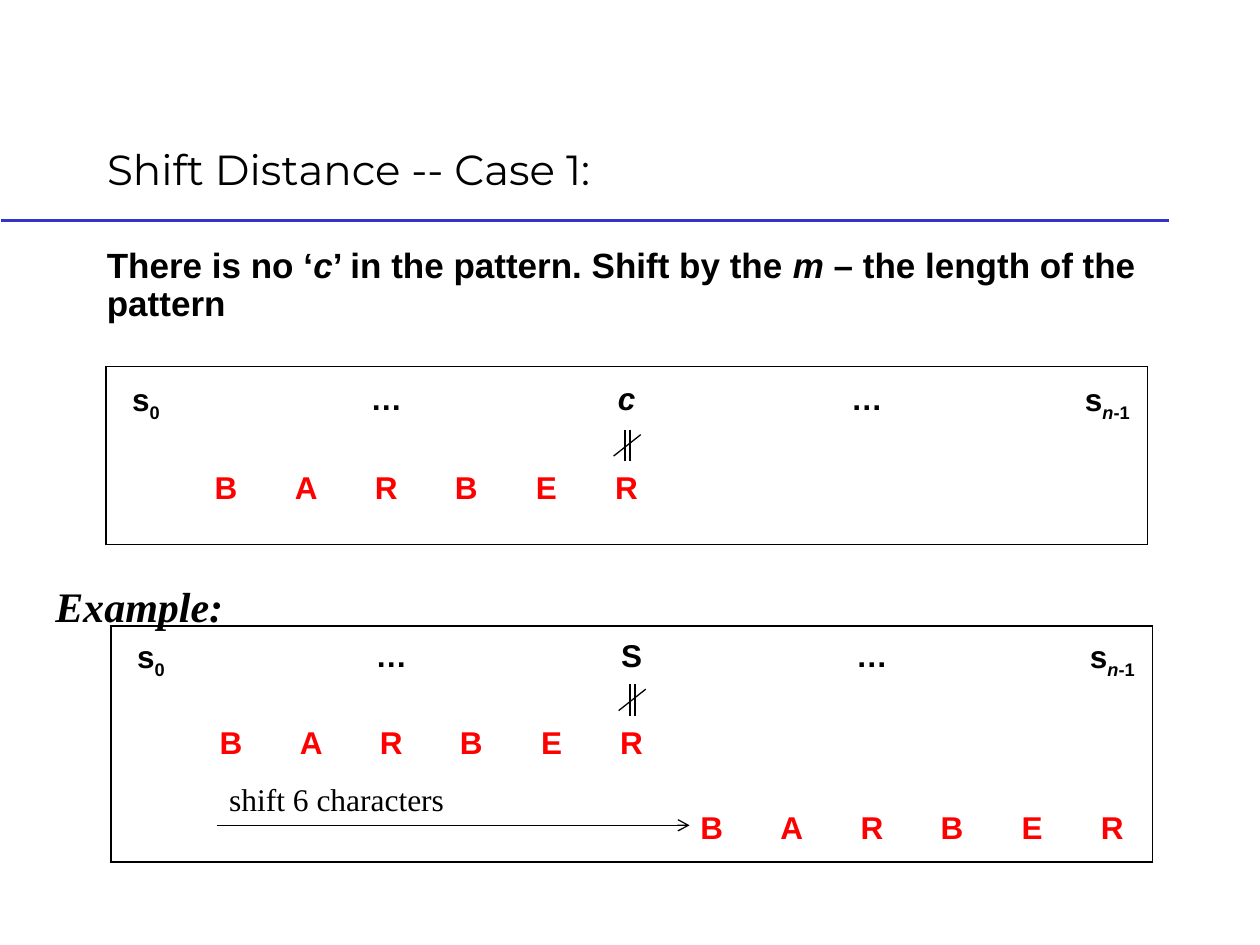
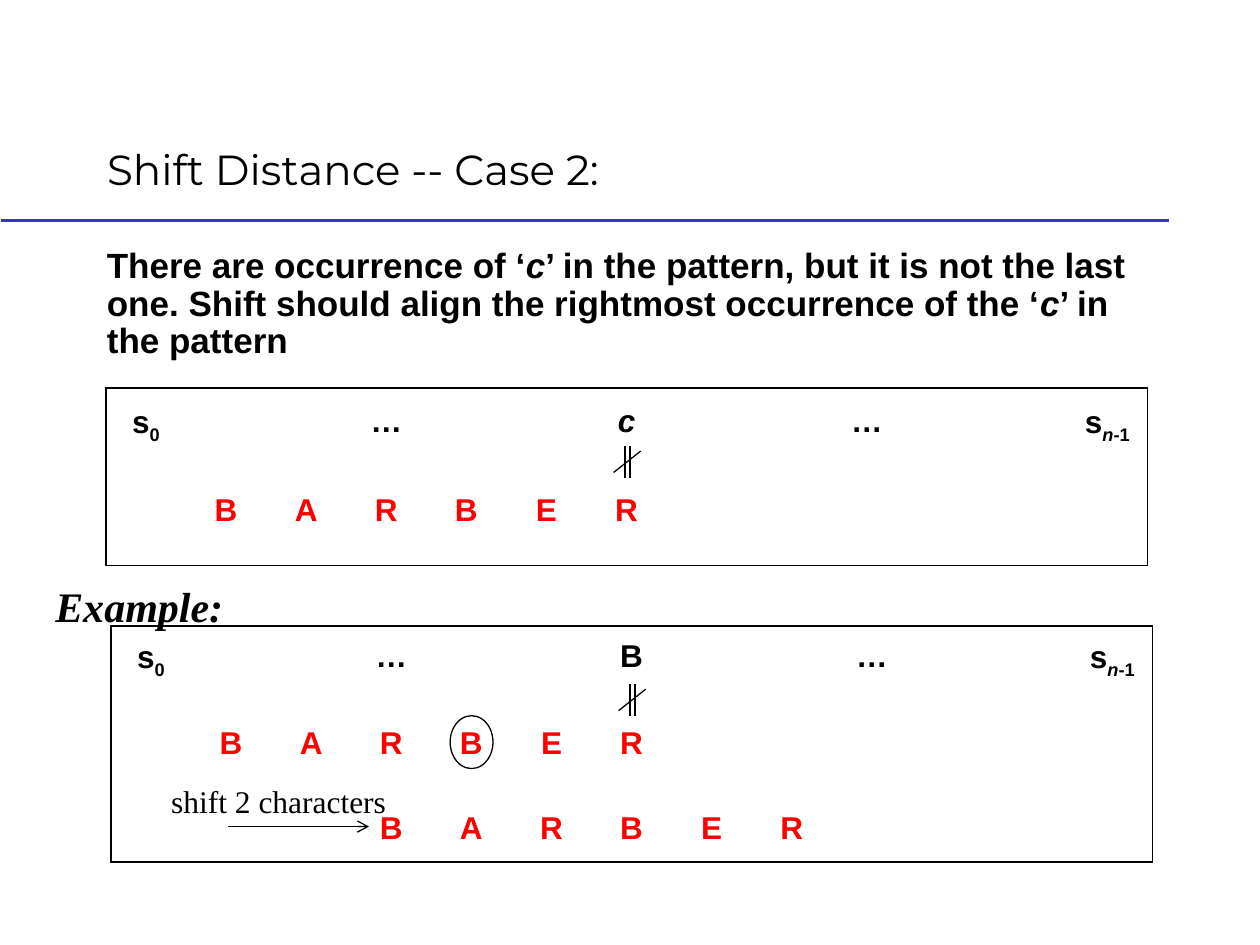
"""Build two slides on the shift distance cases of pattern matching."""
from dataclasses import dataclass

from lxml import etree
from pptx import Presentation
from pptx.dml.color import RGBColor
from pptx.enum.shapes import MSO_CONNECTOR, MSO_SHAPE
from pptx.enum.text import MSO_ANCHOR, MSO_AUTO_SIZE, PP_ALIGN
from pptx.oxml.ns import qn
from pptx.util import Inches, Pt

STRAIGHT = MSO_CONNECTOR.STRAIGHT
OVAL = MSO_SHAPE.OVAL
LEFT, CENTER = PP_ALIGN.LEFT, PP_ALIGN.CENTER
TOP, MIDDLE, BOTTOM = MSO_ANCHOR.TOP, MSO_ANCHOR.MIDDLE, MSO_ANCHOR.BOTTOM
TITLE_ONLY = 5


@dataclass(frozen=True)
class Theme:
    """Colours, fonts, type sizes and line widths of the deck."""
    ink: str = "000000"
    accent: str = "FF0000"
    rule: str = "3333CC"
    title_font: str = "Montserrat"
    text_font: str = "Arial"
    note_font: str = "Times New Roman"
    title_size: float = 24
    body_size: float = 20
    cell_size: float = 18
    thin: float = 0.75
    frame: float = 1
    thick: float = 1.5
    leading: float = 0.9


@dataclass(frozen=True)
class Style:
    """Character format of a piece of text."""
    font: str
    size: float
    bold: bool = False
    italic: bool = False
    color: str = Theme.ink


@dataclass(frozen=True)
class Run:
    """A piece of text with its deviations from the style."""
    text: str
    italic: bool = False
    sub: bool = False


@dataclass(frozen=True)
class Box:
    """A rectangle in grid units."""
    left: float
    top: float
    width: float
    height: float


@dataclass(frozen=True)
class Panel:
    """A frame comparing the text with the pattern."""
    left: float
    top: float
    rows: tuple[float, ...]
    facing: Run
    starts: tuple[int, ...]
    mark_drop: float = 4.6


@dataclass(frozen=True)
class Case:
    """Content of one slide."""
    title: str
    rule: tuple[Run, ...]
    general: Panel
    example: Panel
    shift_note: str
    note_box: Box
    arrow_start: float
    arrow_row: float
    circled: int | None = None


THEME = Theme()
GRID_COLS, GRID_ROWS = 100, 75
UNIT = Inches(10) / GRID_COLS
PATTERN = "BARBER"
PANEL_COLS = 13
PANEL_WIDTH = 82.7
PANEL_COL = PANEL_WIDTH / PANEL_COLS
GENERAL_ROWS = (5.5, 8.6)
EXAMPLE_ROWS = (5.1, 8.6, 5)
TITLE_BOX = Box(7.5, 6.7, 85, 9.2)
BODY_BOX = Box(7.5, 19.2, 85, 50)
EXAMPLE_BOX = Box(3.4, 45.6, 15.5, 5.1)
TITLE = Style(THEME.title_font, THEME.title_size)
BODY = Style(THEME.text_font, THEME.body_size, bold=True)
TEXT_CELL = Style(THEME.text_font, THEME.cell_size, bold=True)
PATTERN_CELL = Style(THEME.text_font, THEME.cell_size, bold=True, color=THEME.accent)
HEADING = Style(THEME.note_font, THEME.title_size, bold=True, italic=True)
NOTE = Style(THEME.note_font, THEME.cell_size)
ELLIPSIS = (Run("…"),)
FIRST = (Run("s"), Run("0", sub=True))
LAST = (Run("s"), Run("n", italic=True, sub=True), Run("-1", sub=True))
C = Run("c", italic=True)


def u(n: float) -> int:
    """Turn grid units into a length."""
    return round(n * UNIT)


def area(box: Box) -> tuple[int, ...]:
    """Turn a box into left, top, width and height."""
    return u(box.left), u(box.top), u(box.width), u(box.height)


def apply(target, values: dict) -> None:
    """Set each attribute in the dict on the target."""
    for name, value in values.items():
        setattr(target, name, value)


def write(tf, runs: tuple[Run, ...], style: Style, align=LEFT, leading: float = 1) -> None:
    """Fill the first paragraph of a text frame."""
    p = tf.paragraphs[0]
    apply(p, {"alignment": align, "line_spacing": leading, "space_before": Pt(0)})
    for run in runs:
        r = p.add_run()
        r.text = run.text
        apply(r.font, {"name": style.font, "size": Pt(style.size), "bold": style.bold,
                       "italic": style.italic or run.italic})
        r.font.color.rgb = RGBColor.from_string(style.color)
        if run.sub:
            r._r.get_or_add_rPr().set("baseline", "-25000")


def add_text(s, box: Box, runs: tuple[Run, ...], style: Style,
             wrap: bool = False, leading: float = 1) -> None:
    """Add a text box."""
    tf = s.shapes.add_textbox(*area(box)).text_frame
    apply(tf, {"word_wrap": wrap, "vertical_anchor": TOP,
               "auto_size": MSO_AUTO_SIZE.NONE if wrap else MSO_AUTO_SIZE.SHAPE_TO_FIT_TEXT})
    write(tf, runs, style, leading=leading)


def add_line(shapes, x1: float, y1: float, x2: float, y2: float,
             color: str = THEME.ink, width: float = THEME.thin, arrow: bool = False) -> None:
    """Add a straight line, with an arrowhead at its end on request."""
    sp = shapes.add_connector(STRAIGHT, u(x1), u(y1), u(x2), u(y2))
    sp.line.color.rgb = RGBColor.from_string(color)
    sp.line.width = Pt(width)
    if arrow:
        etree.SubElement(sp.line._get_or_add_ln(), qn("a:tailEnd"), type="arrow")
    etree.SubElement(sp._element.spPr, qn("a:effectLst"))


def set_borders(cell, sides: dict[str, bool]) -> None:
    """Draw the chosen sides of a cell and clear the others."""
    tc_pr = cell._tc.get_or_add_tcPr()
    for side, drawn in sides.items():
        ln = etree.SubElement(tc_pr, qn(f"a:ln{side}"), w=str(Pt(THEME.frame)))
        if drawn:
            fill = etree.SubElement(ln, qn("a:solidFill"))
            etree.SubElement(fill, qn("a:srgbClr"), val=THEME.ink)
        else:
            etree.SubElement(ln, qn("a:noFill"))


def add_mismatch(s, panel: Panel) -> None:
    """Add the crossed-out double bar between text and pattern."""
    x, y = panel.left + 41.2, panel.top + panel.mark_drop
    shapes = s.shapes.add_group_shape().shapes
    for bar in (x, x + 0.4):
        add_line(shapes, bar, y, bar, y + 2.5)
    add_line(shapes, x + 1.25, y + 0.4, x - 0.9, y + 2.1)


def add_panel(s, panel: Panel) -> None:
    """Add a framed table of the text and the pattern's positions."""
    box = Box(panel.left, panel.top, PANEL_WIDTH, sum(panel.rows))
    table = s.shapes.add_table(len(panel.rows), PANEL_COLS, *area(box)).table
    apply(table, {"first_row": False, "horz_banding": False})
    for column in table.columns:
        column.width = u(PANEL_COL)
    for row, height in zip(table.rows, panel.rows):
        row.height = u(height)

    text_row = (FIRST, ELLIPSIS, (panel.facing,), ELLIPSIS, LAST)
    content = {(0, 3 * i): (runs, TEXT_CELL) for i, runs in enumerate(text_row)}
    for row, start in enumerate(panel.starts, 1):
        for i, letter in enumerate(PATTERN):
            content[row, start + i] = ((Run(letter),), PATTERN_CELL)

    last_row, last_col = len(panel.rows) - 1, PANEL_COLS - 1
    for row in range(last_row + 1):
        for col in range(PANEL_COLS):
            cell = table.cell(row, col)
            cell.vertical_anchor = MIDDLE
            set_borders(cell, {"L": col == 0, "R": col == last_col,
                               "T": row == 0, "B": row == last_row})
            cell.fill.background()
            if (row, col) in content:
                runs, style = content[row, col]
                write(cell.text_frame, runs, style, CENTER, THEME.leading)
    add_mismatch(s, panel)


def add_circle(s, panel: Panel, col: int) -> None:
    """Circle a letter of the first pattern row."""
    width, height = 3.4, 4.2
    x = panel.left + (col + 0.5) * PANEL_COL
    y = panel.top + panel.rows[0] + panel.rows[1] / 2 - 0.2
    sp = s.shapes.add_shape(OVAL, *area(Box(x - width / 2, y - height / 2, width, height)))
    sp.shadow.inherit = False
    sp.fill.background()
    sp.line.color.rgb = RGBColor.from_string(THEME.ink)
    sp.line.width = Pt(THEME.thin)


def add_title(s, text: str) -> None:
    """Place the title and the rule under it."""
    sp = s.shapes.title
    apply(sp, dict(zip(("left", "top", "width", "height"), area(TITLE_BOX))))
    apply(sp.text_frame, {"vertical_anchor": BOTTOM, "word_wrap": True,
                          "auto_size": MSO_AUTO_SIZE.NONE})
    write(sp.text_frame, (Run(text),), TITLE)
    add_line(s.shapes, 0.1, 17.5, 92.8, 17.5, THEME.rule, THEME.thick)


def add_case(prs, case: Case) -> None:
    """Add the slide of one case."""
    s = prs.slides.add_slide(prs.slide_layouts[TITLE_ONLY])
    add_title(s, case.title)
    add_text(s, BODY_BOX, case.rule, BODY, wrap=True, leading=THEME.leading)
    for panel in (case.general, case.example):
        add_panel(s, panel)
    if case.circled is not None:
        add_circle(s, case.example, case.circled)
    add_text(s, EXAMPLE_BOX, (Run("Example:"),), HEADING)
    arrow_end = case.example.left + case.example.starts[-1] * PANEL_COL + 1.4
    add_line(s.shapes, case.arrow_start, case.arrow_row, arrow_end, case.arrow_row, arrow=True)
    add_text(s, case.note_box, (Run(case.shift_note),), NOTE)


CASES = (
    Case("Shift Distance -- Case 1:",
         (Run("There is no ‘"), C, Run("’ in the pattern. Shift by the "),
          Run("m", italic=True), Run(" – the length of the pattern")),
         Panel(8.4, 29.1, GENERAL_ROWS, C, (1,), mark_drop=5),
         Panel(8.8, 49.7, EXAMPLE_ROWS, Run("S"), (1, 7)),
         "shift 6 characters", Box(17.2, 61.4, 19.9, 4), 17.2, 65.5),
    Case("Shift Distance -- Case 2:",
         (Run("There are occurrence of ‘"), C,
          Run("’ in the pattern, but it is not the last one. "
              "Shift should align the rightmost occurrence of the ‘"),
          C, Run("’ in the pattern")),
         Panel(8.4, 30.8, GENERAL_ROWS, C, (1,)),
         Panel(8.8, 49.7, EXAMPLE_ROWS, Run("B"), (1, 3)),
         "shift 2 characters", Box(12.6, 61.6, 19.9, 4), 18.1, 65.6, circled=4),
)


def main() -> None:
    """Build and save the deck."""
    prs = Presentation()
    apply(prs, {"slide_width": u(GRID_COLS), "slide_height": u(GRID_ROWS)})
    for case in CASES:
        add_case(prs, case)
    prs.save("out.pptx")


if __name__ == "__main__":
    main()
